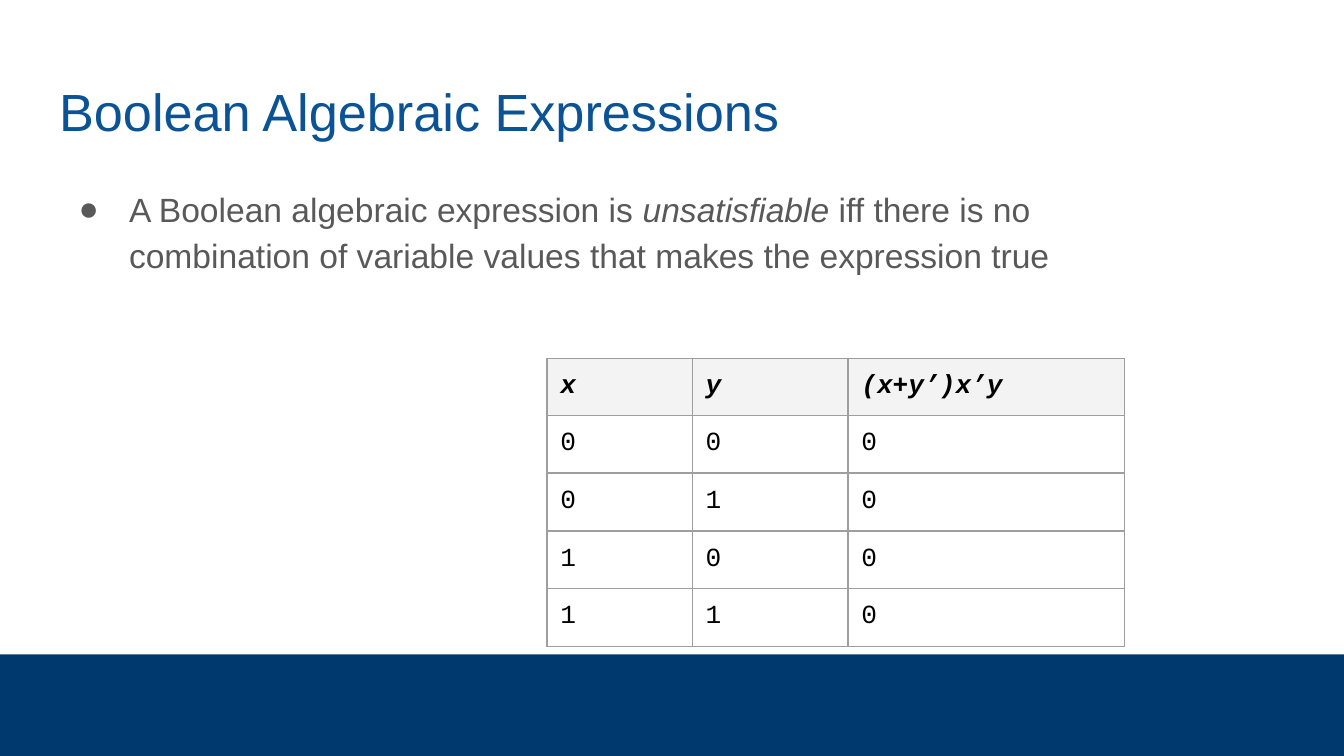
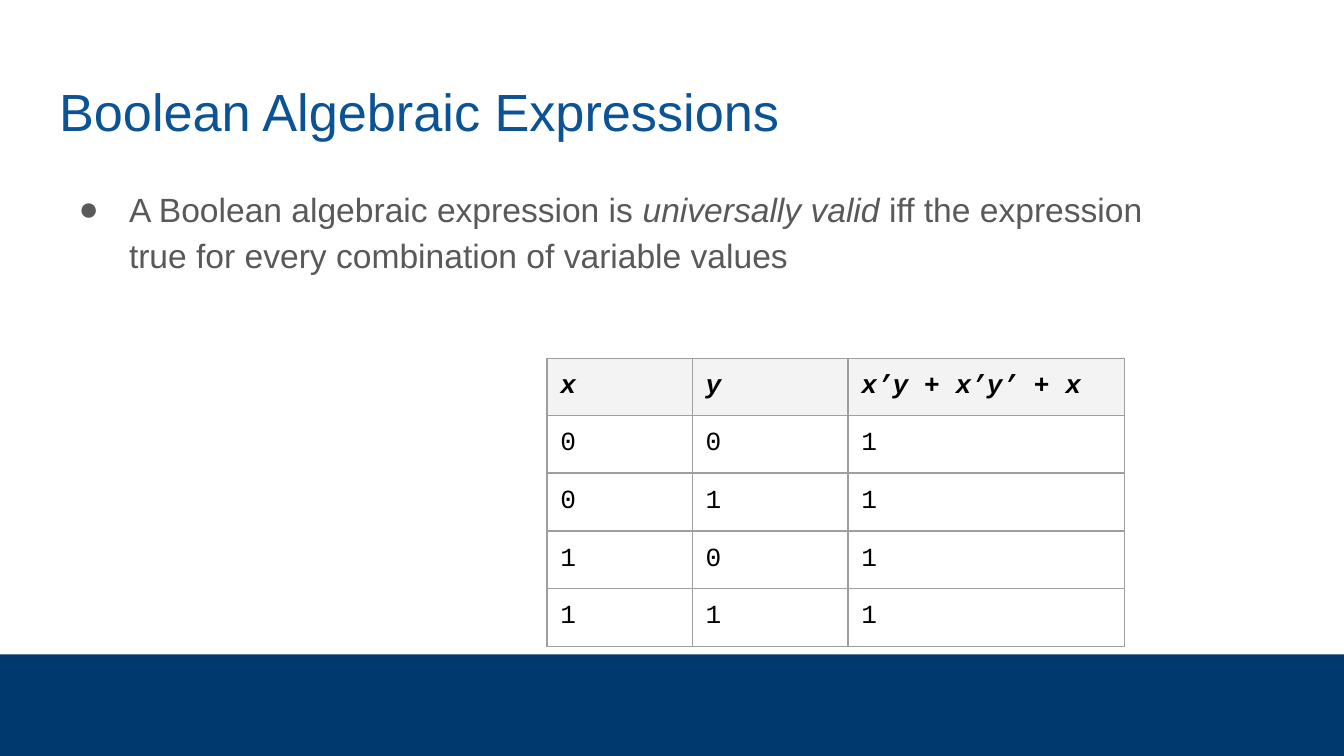
from itertools import product

from lxml.etree import SubElement
from pptx import Presentation
from pptx.dml.color import RGBColor
from pptx.enum.shapes import MSO_SHAPE
from pptx.enum.text import MSO_ANCHOR, MSO_AUTO_SIZE, PP_ALIGN
from pptx.oxml.ns import qn
from pptx.util import Pt

COLORS = {"band": "00396E", "title": "0B5394", "body": "595959",
          "cell": "000000", "header": "F3F3F3", "border": "9E9E9E"}
FONTS = {"title": {"name": "Arial", "size": Pt(28)},
         "body": {"name": "Arial", "size": Pt(18)},
         "cell": {"name": "Courier New", "size": Pt(14)}}
INSET = Pt(7.2)
COLUMNS = (77.8, 83.5, 148.3)
HEADER_HEIGHT, ROW_HEIGHT = 25.2, 31


class Deck:
    """Hold the presentation style and the current slide."""

    def __init__(self, width, height):
        self.prs = Presentation()
        self.prs.slide_width, self.prs.slide_height = Pt(width), Pt(height)
        self.s = None

    def color(self, name):
        return RGBColor.from_string(COLORS[name])

    def slide(self):
        self.s = self.prs.slides.add_slide(self.prs.slide_layouts[1])

    def band(self, top, height):
        sp = self.s.shapes.add_shape(MSO_SHAPE.RECTANGLE, 0, Pt(top),
                                     self.prs.slide_width, Pt(height))
        sp.shadow.inherit = False
        sp.fill.solid()
        sp.fill.fore_color.rgb = self.color("band")
        sp.line.fill.background()

    def run(self, p, text, style, **extra):
        r = p.add_run()
        r.text = text
        for name, value in {**FONTS[style], **extra}.items():
            setattr(r.font, name, value)
        r.font.color.rgb = self.color(style)

    def place(self, sp, left, top, width, height):
        for name, value in zip(("left", "top", "width", "height"),
                               (left, top, width, height)):
            setattr(sp, name, Pt(value))
        tf = sp.text_frame
        for side in ("left", "top", "right", "bottom"):
            setattr(tf, f"margin_{side}", INSET)
        tf.word_wrap = True
        tf.auto_size = MSO_AUTO_SIZE.NONE
        tf.vertical_anchor = MSO_ANCHOR.TOP
        p = tf.paragraphs[0]
        p.alignment = PP_ALIGN.LEFT
        p.space_before = Pt(0)
        return p

    def title(self, text):
        p = self.place(self.s.shapes.title, 24.5, 35.3, 671, 45.4)
        self.run(p, text, "title")

    def bullet(self, before, term, after):
        p = self.place(self.s.placeholders[1], 25.9, 90.7, 626.4, 85.7)
        p.line_spacing = 1.15
        pPr = p._p.get_or_add_pPr()
        pPr.set("marL", str(Pt(36)))
        pPr.set("indent", str(Pt(-27)))
        SubElement(SubElement(pPr, qn("a:buClr")), qn("a:srgbClr"),
                   val=COLORS["body"])
        SubElement(pPr, qn("a:buFont"), typeface="Arial")
        SubElement(pPr, qn("a:buChar"), char="●")
        for text, italic in ((before, False), (term, True), (after, False)):
            self.run(p, text, "body", italic=italic)

    def borders(self, cell):
        tcPr = cell._tc.get_or_add_tcPr()
        for side in ("lnL", "lnR", "lnT", "lnB"):
            ln = SubElement(tcPr, qn(f"a:{side}"), w=str(Pt(0.75)))
            SubElement(SubElement(ln, qn("a:solidFill")), qn("a:srgbClr"),
                       val=COLORS["border"])

    def table(self, left, top, rows):
        heights = [HEADER_HEIGHT] + [ROW_HEIGHT] * (len(rows) - 1)
        table = self.s.shapes.add_table(
            len(rows), len(COLUMNS), Pt(left), Pt(top),
            Pt(sum(COLUMNS)), Pt(sum(heights))).table
        table.first_row = table.horz_banding = False
        for column, width in zip(table.columns, COLUMNS):
            column.width = Pt(width)
        for i, (row, height) in enumerate(zip(table.rows, heights)):
            row.height = Pt(height)
            for cell, text in zip(row.cells, rows[i]):
                self.cell(cell, text, header=i == 0)

    def cell(self, cell, text, header):
        for side in ("left", "top", "right", "bottom"):
            setattr(cell, f"margin_{side}", INSET)
        self.borders(cell)
        if header:
            cell.fill.solid()
            cell.fill.fore_color.rgb = self.color("header")
        else:
            cell.fill.background()
        self.run(cell.text_frame.paragraphs[0], text, "cell",
                 bold=header, italic=header)


def main():
    deck = Deck(720, 405)
    slides = (
        ("unsatisfiable",
         " iff there is no combination of variable values that makes the "
         "expression true",
         "(x+y’)x’y", "0"),
        ("universally valid",
         " iff the expression true for every combination of variable values",
         "x’y + x’y’ + x", "1"),
    )
    for term, definition, expression, result in slides:
        deck.slide()
        deck.band(350.5, 54.5)
        deck.title("Boolean Algebraic Expressions")
        deck.bullet("A Boolean algebraic expression is ", term, definition)
        truth = [(x, y, result) for x, y in product("01", repeat=2)]
        deck.table(293, 192.2, [("x", "y", expression)] + truth)
    deck.prs.save("out.pptx")


if __name__ == "__main__":
    main()
